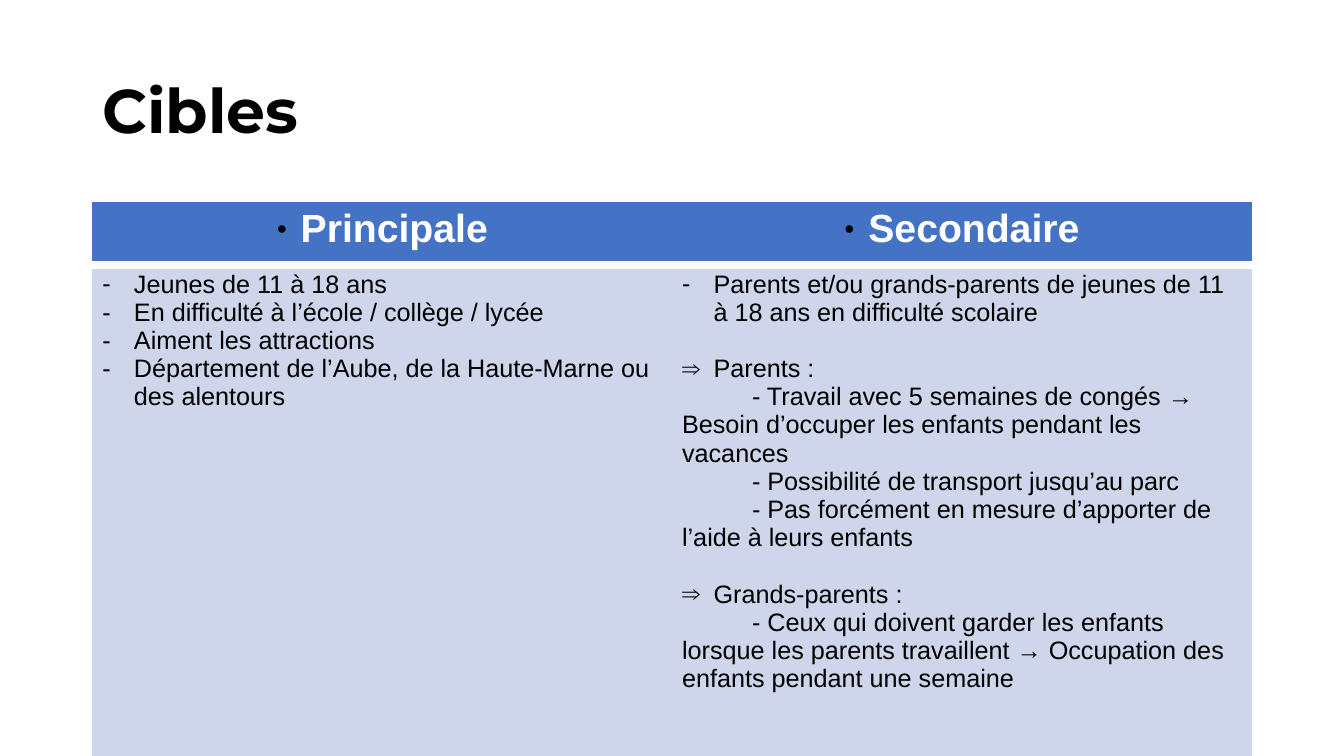
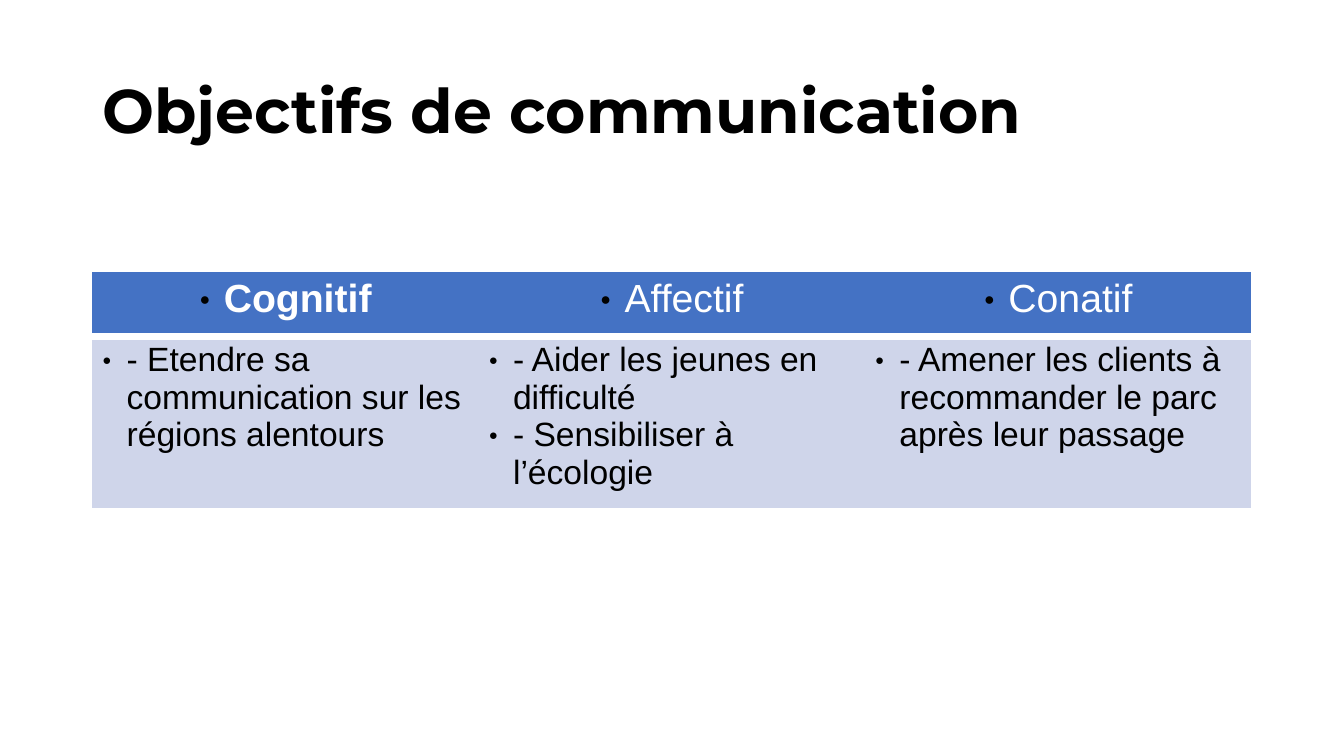
from lxml.etree import SubElement
from pptx import Presentation
from pptx.dml.color import RGBColor
from pptx.enum.text import MSO_ANCHOR, PP_ALIGN
from pptx.oxml import parse_xml
from pptx.oxml.ns import nsdecls, qn
from pptx.util import Pt

COLORS = {"black": "000000", "white": "FFFFFF", "header": "4472C4", "body": "CFD5EA"}
PLAIN_STYLE = "{2D5ABB26-0587-4C30-8999-92F81FD0307C}"  # table without grid
LEFT, WIDTH = 66, 828

# Paragraph kinds: bullet, bullet size in %, left margin, first-line indent
KINDS = {
    "dot": ("●", 45, 17.28, -17.28),
    "dash": ("-", 100, 22.5, -22.5),
    "arrow": ("⇒", 100, 22.5, -22.5),
    "sub": (None, 100, 0, 50),
}

# Headers are (text, bold); body paragraphs are (kind, text, space before)
SLIDES = [
    {
        "title": "Cibles", "top": 144, "heights": (45.4, 350.6), "size": 18,
        "headers": [("Principale", True), ("Secondaire", True)],
        "cells": [
            [("dash", "Jeunes de 11 à 18 ans", 0),
             ("dash", "En difficulté à l’école / collège / lycée", 0),
             ("dash", "Aiment les attractions", 0),
             ("dash", "Département de l’Aube, de la Haute-Marne ou des alentours", 0)],
            [("dash", "Parents et/ou grands-parents de jeunes de 11 à 18 ans "
              "en difficulté scolaire", 0),
             ("arrow", "Parents :", 20),
             ("sub", "- Travail avec 5 semaines de congés → Besoin d’occuper "
              "les enfants pendant les vacances", 0),
             ("sub", "- Possibilité de transport jusqu’au parc", 0),
             ("sub", "- Pas forcément en mesure d’apporter de l’aide à leurs enfants", 0),
             ("arrow", "Grands-parents :", 20),
             ("sub", "- Ceux qui doivent garder les enfants lorsque les parents "
              "travaillent → Occupation des enfants pendant une semaine", 0)],
        ],
    },
    {
        "title": "Objectifs de communication", "top": 194.4, "heights": (46, 112), "size": 24,
        "headers": [("Cognitif", True), ("Affectif", False), ("Conatif", False)],
        "cells": [
            [("dot", "- Etendre sa communication sur les régions alentours", 0)],
            [("dot", "- Aider les jeunes en difficulté", 0),
             ("dot", "- Sensibiliser à l’écologie", 0)],
            [("dot", "- Amener les clients à recommander le parc après leur passage", 0)],
        ],
    },
]


def add_run(p, text, size, color, bold=False, font="Arial"):
    r = p.add_run()
    r.text = text
    r.font.name, r.font.size, r.font.bold = font, Pt(size), bold
    r.font.color.rgb = RGBColor.from_string(COLORS[color])


def fill_cell(cell, fill, paragraphs, size, color, bold=False, align=PP_ALIGN.LEFT):
    cell.fill.solid()
    cell.fill.fore_color.rgb = RGBColor.from_string(COLORS[fill])
    tf = cell.text_frame
    for i, (kind, text, gap) in enumerate(paragraphs):
        p = tf.add_paragraph() if i else tf.paragraphs[0]
        p.alignment, p.space_before = align, Pt(gap)
        char, percent, margin, indent = KINDS[kind]
        pPr = p._p.get_or_add_pPr()
        pPr.set("marL", str(Pt(margin)))
        pPr.set("indent", str(Pt(indent)))
        if char:
            SubElement(SubElement(pPr, qn("a:buClr")), qn("a:srgbClr"), val=COLORS["black"])
            SubElement(pPr, qn("a:buSzPct"), val=str(percent * 1000))
            SubElement(pPr, qn("a:buFont"), typeface="Arial")
            SubElement(pPr, qn("a:buChar"), char=char)
        else:
            SubElement(pPr, qn("a:buNone"))
        add_run(p, text, size, color, bold)


prs = Presentation()
prs.slide_width, prs.slide_height = Pt(960), Pt(540)

for content in SLIDES:
    s = prs.slides.add_slide(prs.slide_layouts[6])

    # Title
    tf = s.shapes.add_textbox(Pt(LEFT), Pt(28.8), Pt(WIDTH), Pt(104.4)).text_frame
    tf.word_wrap = True
    tf.vertical_anchor = MSO_ANCHOR.MIDDLE
    p = tf.paragraphs[0]
    p.line_spacing = 0.9
    add_run(p, content["title"], 44, "black", True, "Montserrat")

    # Table
    columns = len(content["headers"])
    heights = content["heights"]
    table = s.shapes.add_table(2, columns, Pt(LEFT), Pt(content["top"]),
                               Pt(WIDTH), Pt(sum(heights))).table
    table._tbl.tblPr.find(qn("a:tableStyleId")).text = PLAIN_STYLE
    table.horz_banding = False
    for row, height in zip(table.rows, heights):
        row.height = Pt(height)

    for i, ((header, bold), paragraphs) in enumerate(zip(content["headers"], content["cells"])):
        table.columns[i].width = Pt(WIDTH / columns)
        head = table.cell(0, i)
        fill_cell(head, "header", [("dot", header, 0)], 28, "white", bold, PP_ALIGN.CENTER)
        fill_cell(table.cell(1, i), "body", paragraphs, content["size"], "black")
        # White rule under the header
        head._tc.get_or_add_tcPr().insert(0, parse_xml(
            f'<a:lnB {nsdecls("a")} w="{Pt(6)}"><a:solidFill>'
            f'<a:srgbClr val="{COLORS["white"]}"/></a:solidFill></a:lnB>'))

prs.save("out.pptx")
